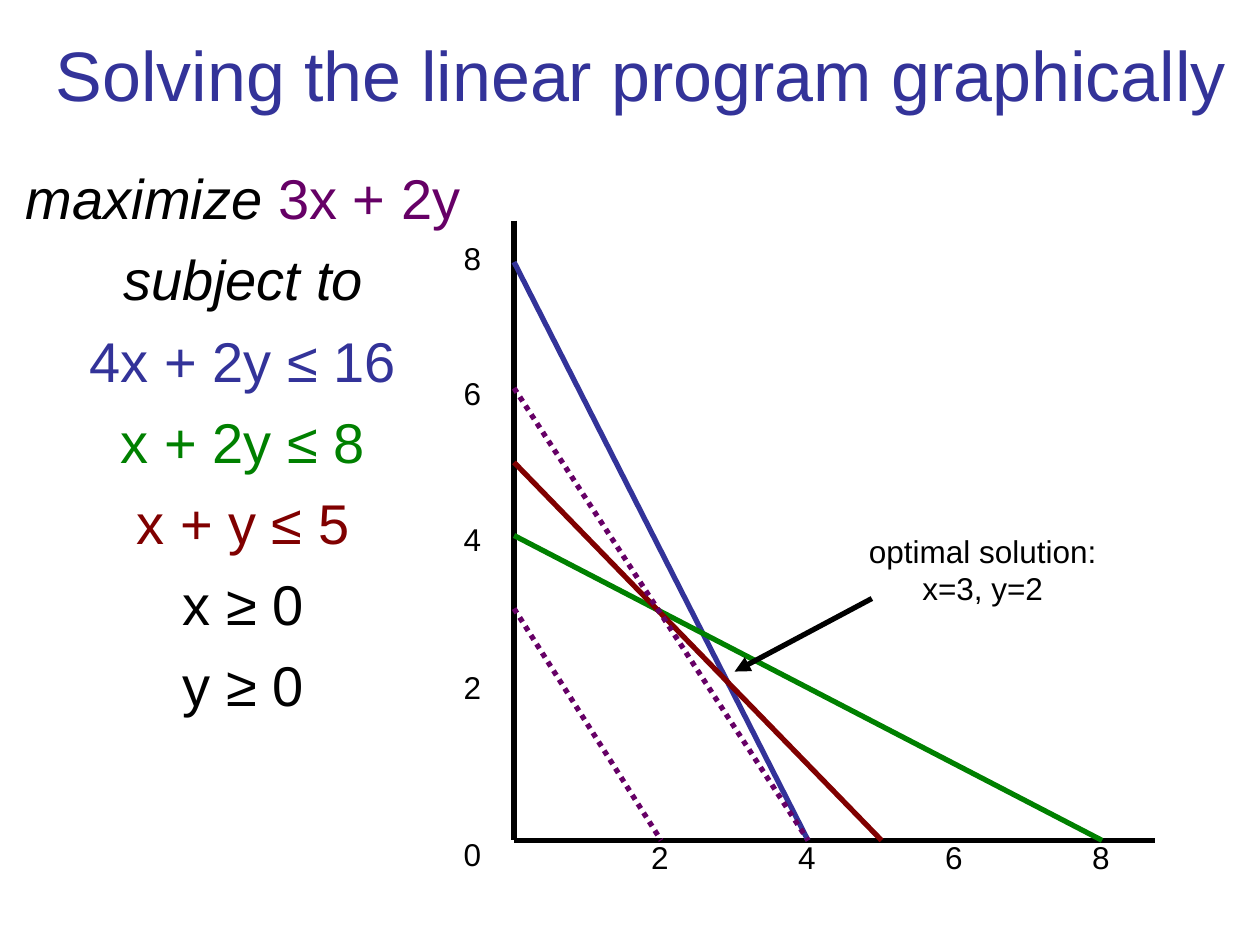
from dataclasses import dataclass
from typing import NamedTuple

from lxml.etree import SubElement
from pptx import Presentation
from pptx.dml.color import RGBColor
from pptx.enum.dml import MSO_LINE_DASH_STYLE as Dash
from pptx.enum.shapes import MSO_CONNECTOR as Connector
from pptx.enum.text import MSO_ANCHOR as Anchor, PP_ALIGN as Align
from pptx.oxml.ns import qn
from pptx.util import Inches, Pt


@dataclass(frozen=True)
class Theme:
    font: str = "Arial"
    black: str = "000000"
    blue: str = "333399"
    green: str = "008000"
    red: str = "800000"
    purple: str = "660066"
    title_size: int = 40
    body_size: int = 32
    label_size: int = 18
    line_width: int = 3


THEME = Theme()


class Run(NamedTuple):
    text: str
    color: str = THEME.black
    italic: bool = False


class Box(NamedTuple):
    left: float
    top: float
    width: float
    height: float


class Point(NamedTuple):
    x: float
    y: float


class Boundary(NamedTuple):
    x_intercept: int
    y_position: float
    color: str
    dotted: bool = False


ORIGIN = Point(4.08, 6.67)
UNIT = 3.5 / 6

PROGRAM = [
    [Run("maximize ", italic=True), Run("3x + 2y", THEME.purple)],
    [Run("subject to", italic=True)],
    [Run("4x + 2y ≤ 16", THEME.blue)],
    [Run("x + 2y ≤ 8", THEME.green)],
    [Run("x + y ≤ 5", THEME.red)],
    [Run("x ≥ 0")],
    [Run("y ≥ 0")],
]
BOUNDARIES = [
    Boundary(4, 2.08, THEME.blue),
    Boundary(8, 4.25, THEME.green),
    Boundary(5, 3.67, THEME.red),
    Boundary(2, 4.83, THEME.purple, dotted=True),
    Boundary(4, 3.08, THEME.purple, dotted=True),
]
Y_LABEL_TOPS = {0: 6.58, 2: 5.25, 4: 4.08, 6: 2.92, 8: 1.85}


def add_text(slide, box: Box, paragraphs: list[list[Run]], *, size: int,
             anchor: Anchor = Anchor.TOP, wrap: bool = True,
             space_before: float = 0) -> None:
    shape = slide.shapes.add_textbox(*(Inches(value) for value in box))
    frame = shape.text_frame
    frame.word_wrap = wrap
    frame.vertical_anchor = anchor
    for index, runs in enumerate(paragraphs):
        paragraph = frame.add_paragraph() if index else frame.paragraphs[0]
        paragraph.alignment = Align.CENTER
        paragraph.space_before = Pt(space_before)
        for content in runs:
            run = paragraph.add_run()
            run.text = content.text
            run.font.name = THEME.font
            run.font.size = Pt(size)
            run.font.italic = content.italic
            run.font.color.rgb = RGBColor.from_string(content.color)


def add_line(slide, start: Point, end: Point, color: str = THEME.black,
             dotted: bool = False, arrow: bool = False) -> None:
    connector = slide.shapes.add_connector(
        Connector.STRAIGHT, *(Inches(value) for value in (*start, *end)))
    connector.line.color.rgb = RGBColor.from_string(color)
    connector.line.width = Pt(THEME.line_width)
    if dotted:
        connector.line.dash_style = Dash.ROUND_DOT
    if arrow:
        SubElement(connector.line._get_or_add_ln(), qn("a:tailEnd"), type="triangle")
    SubElement(connector._element.spPr, qn("a:effectLst"))


def add_axis_label(slide, value: int, left: float, top: float) -> None:
    add_text(slide, Box(left, top, 0.34, 0.4), [[Run(str(value))]],
             size=THEME.label_size, wrap=False)


def add_plot(slide) -> None:
    add_line(slide, Point(ORIGIN.x, 1.75), ORIGIN)
    add_line(slide, ORIGIN, Point(9.17, ORIGIN.y))
    for value, top in Y_LABEL_TOPS.items():
        add_axis_label(slide, value, 3.58, top)
    for value in range(2, 9, 2):
        add_axis_label(slide, value, ORIGIN.x + value * UNIT - 0.18, 6.6)
    for boundary in BOUNDARIES:
        add_line(slide, Point(ORIGIN.x, boundary.y_position),
                 Point(ORIGIN.x + boundary.x_intercept * UNIT, ORIGIN.y),
                 boundary.color, boundary.dotted)
    add_line(slide, Point(6.92, 4.75), Point(5.83, 5.33), arrow=True)
    add_text(slide, Box(6.75, 4.17, 2.1, 0.7),
             [[Run("optimal solution: x=3, y=2")]], size=THEME.label_size)


def main() -> None:
    presentation = Presentation()
    presentation.slide_width = Inches(10)
    presentation.slide_height = Inches(7.5)
    slide = presentation.slides.add_slide(presentation.slide_layouts[6])
    add_text(slide, Box(0.17, 0.08, 9.83, 1),
             [[Run("Solving the linear program graphically", THEME.blue)]],
             size=THEME.title_size, anchor=Anchor.MIDDLE)
    add_text(slide, Box(0, 1.25, 3.86, 6), PROGRAM,
             size=THEME.body_size, space_before=8)
    add_plot(slide)
    presentation.save("out.pptx")


if __name__ == "__main__":
    main()
